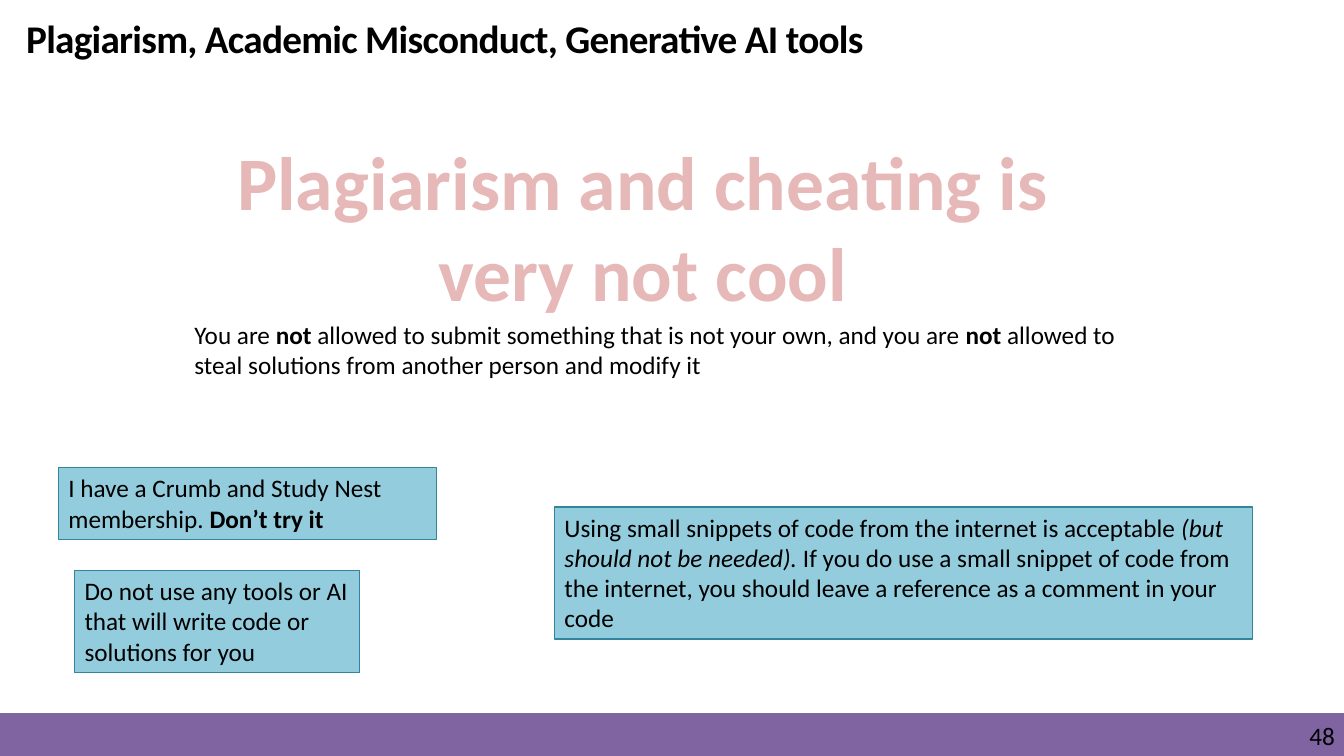
from pptx import Presentation
from pptx.dml.color import RGBColor
from pptx.enum.shapes import MSO_SHAPE
from pptx.enum.text import MSO_ANCHOR, PP_ALIGN
from pptx.util import Inches, Pt

RECT = MSO_SHAPE.RECTANGLE
TOP = MSO_ANCHOR.TOP
LEFT, CENTER, RIGHT = PP_ALIGN.LEFT, PP_ALIGN.CENTER, PP_ALIGN.RIGHT
COLORS = {
    "text": "000000",
    "bar": "8064A2",
    "headline": "E6B9B8",
    "note": "93CDDD",
    "note_line": "31859C",
}


class SlideBuilder:
    font = "Calibri"

    def __init__(self, prs):
        self.slide = prs.slides.add_slide(prs.slide_layouts[5])

    def color(self, name):
        return RGBColor.from_string(COLORS[name])

    def fill_text(self, sp, runs, size=18, color="text", bold=None, align=LEFT,
                  margins=(0.1, 0.05, 0.1, 0.05)):
        tf = sp.text_frame
        tf.word_wrap = True
        tf.vertical_anchor = TOP
        tf.margin_left, tf.margin_top, tf.margin_right, tf.margin_bottom = map(Inches, margins)
        p = tf.paragraphs[0]
        p.alignment = align
        p.font.name = self.font
        p.font.size = Pt(size)
        p.font.bold = bold
        p.font.color.rgb = self.color(color)
        for text, style in runs:
            r = p.add_run()
            r.text = text
            if style == "bold":
                r.font.bold = True
            elif style == "italic":
                r.font.italic = True
        return p

    def title(self, text, box):
        sp = self.slide.shapes.title
        sp.left, sp.top, sp.width, sp.height = map(Inches, box)
        p = self.fill_text(sp, [(text, None)], 28, bold=True, margins=(0.01, 0.01, 0, 0))
        p.space_before = Pt(0)
        p.runs[0].font._element.set("spc", "-50")

    def text(self, runs, box, **style):
        sp = self.slide.shapes.add_textbox(*map(Inches, box))
        self.fill_text(sp, runs, **style)

    def rect(self, box, fill, line):
        sp = self.slide.shapes.add_shape(RECT, *map(Inches, box))
        sp.shadow.inherit = False
        sp.fill.solid()
        sp.fill.fore_color.rgb = self.color(fill)
        sp.line.color.rgb = self.color(line)
        sp.line.width = Pt(0.75)
        return sp

    def note(self, runs, box):
        self.fill_text(self.rect(box, "note", "note_line"), runs)


def main():
    prs = Presentation()
    prs.slide_width, prs.slide_height = Inches(13.33), Inches(7.5)
    s = SlideBuilder(prs)
    s.rect((0, 7.08, 13.33, 0.42), "bar", "bar")
    s.text([("48", None)], (10.17, 7.15, 3.07, 0.3), align=RIGHT, margins=(0, 0, 0, 0))
    s.title("Plagiarism, Academic Misconduct, Generative AI tools", (0.25, 0.13, 8.59, 0.49))
    s.text([("Plagiarism and cheating is very not cool", None)], (2.08, 1.29, 8.59, 1.93),
           size=54, color="headline", bold=True, align=CENTER)
    s.text([
        ("You are ", None),
        ("not ", "bold"),
        ("allowed to submit something that is not your own, and you are ", None),
        ("not", "bold"),
        (" allowed to steal solutions from another person and modify it", None),
    ], (1.83, 3.12, 9.67, 0.71))
    s.note([
        ("I have a Crumb and Study Nest membership. ", None),
        ("Don’t try it", "bold"),
    ], (0.58, 4.64, 3.75, 0.71))
    s.note([
        ("Do not use any tools or AI that will write code or solutions for you", None),
    ], (0.74, 5.66, 2.83, 1.01))
    s.note([
        ("Using small snippets of code from the internet is acceptable ", None),
        ("(but should not be needed). ", "italic"),
        ("If you do use a small snippet of code from the internet, "
         "you should leave a reference as a comment in your code", None),
    ], (5.5, 5.03, 6.92, 1.31))
    prs.save("out.pptx")


if __name__ == "__main__":
    main()
